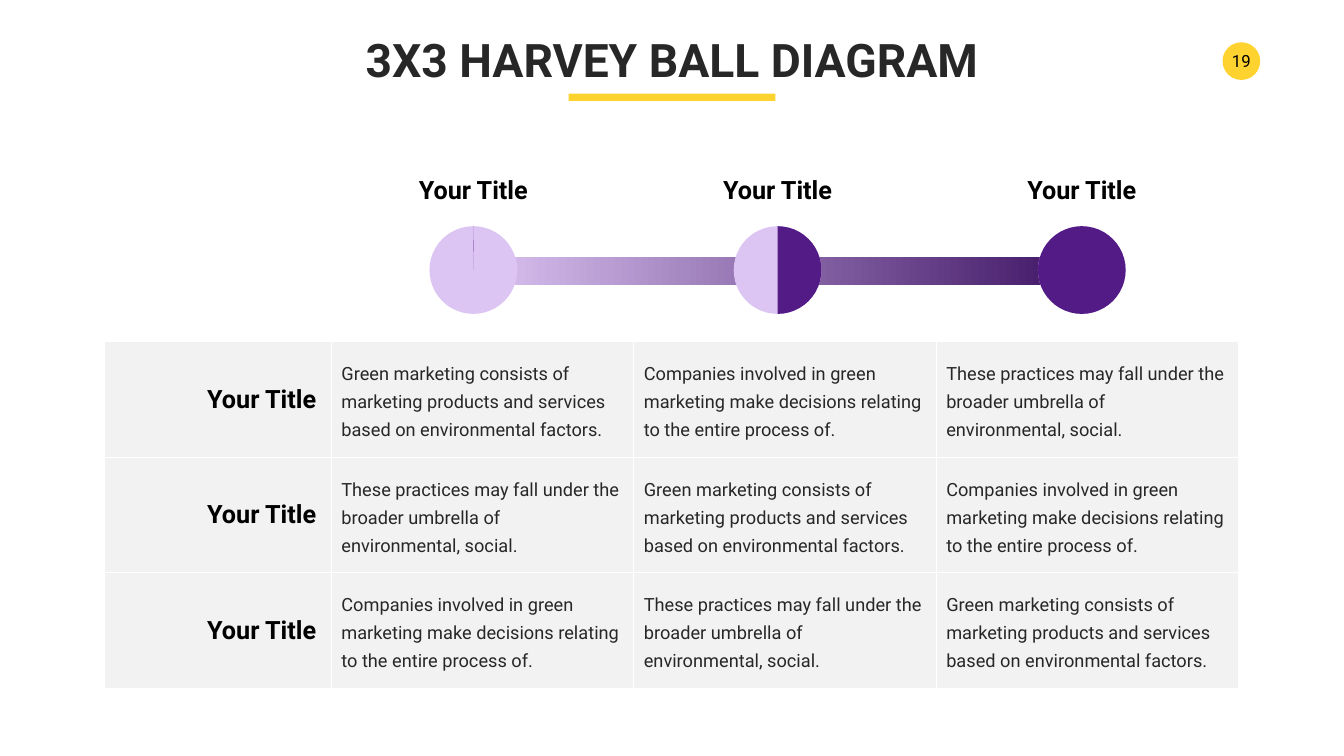
from lxml import etree
from pptx import Presentation
from pptx.dml.color import RGBColor
from pptx.enum.shapes import MSO_SHAPE
from pptx.enum.text import MSO_ANCHOR, PP_ALIGN
from pptx.oxml.ns import qn
from pptx.util import Cm, Pt

ELLIPSE, PIE, RECTANGLE = MSO_SHAPE.OVAL, MSO_SHAPE.PIE, MSO_SHAPE.RECTANGLE
LEFT, CENTER, RIGHT = PP_ALIGN.LEFT, PP_ALIGN.CENTER, PP_ALIGN.RIGHT
TOP, MIDDLE = MSO_ANCHOR.TOP, MSO_ANCHOR.MIDDLE

FONT = "Roboto"
YELLOW, PURPLE, LILAC, DEEP_PURPLE = "FED330", "531B86", "DDC5F3", "3E1464"
DARK, BLACK, WHITE, GRAY = "272727", "000000", "FFFFFF", "F2F2F2"

TITLE = "3X3 HARVEY BALL DIAGRAM"
PAGE_NUMBER = "19"
GREEN = "Green marketing consists of marketing products and services based on environmental factors."
COMPANIES = "Companies involved in green marketing make decisions relating to the entire process of."
PRACTICES = "These practices may fall under the broader umbrella of environmental, social."
ROWS = [
    ("Your Title", GREEN, COMPANIES, PRACTICES),
    ("Your Title", PRACTICES, GREEN, COMPANIES),
    ("Your Title", COMPANIES, PRACTICES, GREEN),
]
BALLS = [
    ("Your Title", 161.88, 161.93),
    ("Your Title", 162, 54),
    ("Your Title", 161.5, 161.45),
]

SLIDE_WIDTH, SLIDE_HEIGHT = 67.72, 38.1
COLUMN_WIDTHS = (11.43, 15.24, 15.24, 15.24)
TABLE_LEFT, TABLE_TOP, ROW_HEIGHT = 5.26, 17.22, 5.82
FIRST_BALL, BALL_STEP, BALL_TOP, BALL_SIZE = 23.85, 15.33, 11.4, 4.42
LABEL_TOP, LABEL_WIDTH, LABEL_HEIGHT = 8.66, 6.1, 1.8
TITLE_TOP, TITLE_WIDTH, TITLE_HEIGHT = 1.45, 31.5, 3.07


def color(value):
    return RGBColor.from_string(value)


def write(frame, text, size, ink, bold=False, align=CENTER):
    frame.text = text
    paragraph = frame.paragraphs[0]
    paragraph.alignment = align
    font = paragraph.runs[0].font
    font.name, font.size, font.bold = FONT, Pt(size), bold
    font.color.rgb = color(ink)
    return paragraph


def add_shape(slide, kind, left, top, width, height, fill):
    shape = slide.shapes.add_shape(kind, Cm(left), Cm(top), Cm(width), Cm(height))
    shape.shadow.inherit = False
    shape.line.fill.background()
    shape.fill.solid()
    shape.fill.fore_color.rgb = color(fill)
    return shape


def add_heading(slide):
    title = slide.shapes.title
    title.left, title.top = Cm((SLIDE_WIDTH - TITLE_WIDTH) / 2), Cm(TITLE_TOP)
    title.width, title.height = Cm(TITLE_WIDTH), Cm(TITLE_HEIGHT)
    write(title.text_frame, TITLE, 66, DARK, True)
    title.text_frame.word_wrap = False
    title.text_frame.vertical_anchor = TOP
    add_shape(slide, RECTANGLE, (SLIDE_WIDTH - 10.41) / 2, 4.72, 10.41, 0.36, YELLOW)

    badge = add_shape(slide, ELLIPSE, 61.6, 2.13, 1.9, 1.9, YELLOW)
    frame = badge.text_frame
    frame.margin_left = frame.margin_right = Cm(0.13)
    frame.margin_top = frame.margin_bottom = Cm(0.13)
    frame.vertical_anchor = MIDDLE
    frame.word_wrap = False
    write(frame, PAGE_NUMBER, 24, BLACK)


def add_balls(slide):
    bar = add_shape(slide, RECTANGLE, 23.67, 12.95, 30.81, 1.4, LILAC)
    bar.fill.gradient()
    bar.fill.gradient_angle = 0
    for stop, shade in zip(bar.fill.gradient_stops, (LILAC, DEEP_PURPLE)):
        stop.color.rgb = color(shade)
    for stop, position in zip(bar.fill.gradient_stops, (0, 1)):
        stop.position = position

    for index, (label, start, end) in enumerate(BALLS):
        center = FIRST_BALL + index * BALL_STEP
        place = (center - BALL_SIZE / 2, BALL_TOP, BALL_SIZE, BALL_SIZE)
        add_shape(slide, ELLIPSE, *place, LILAC)
        pie = add_shape(slide, PIE, *place, PURPLE)
        pie.adjustments[0], pie.adjustments[1] = start, end
        box = slide.shapes.add_textbox(
            Cm(center - LABEL_WIDTH / 2), Cm(LABEL_TOP), Cm(LABEL_WIDTH), Cm(LABEL_HEIGHT))
        box.text_frame.word_wrap = False
        write(box.text_frame, label, 36, BLACK, True)


def add_borders(cell):
    properties = cell._tc.get_or_add_tcPr()
    for side in ("a:lnL", "a:lnR", "a:lnT", "a:lnB"):
        line = etree.SubElement(properties, qn(side), w=str(Pt(1)))
        fill = etree.SubElement(line, qn("a:solidFill"))
        etree.SubElement(fill, qn("a:srgbClr"), val=WHITE)


def add_grid(slide):
    table = slide.shapes.add_table(
        len(ROWS), len(COLUMN_WIDTHS), Cm(TABLE_LEFT), Cm(TABLE_TOP),
        Cm(sum(COLUMN_WIDTHS)), Cm(ROW_HEIGHT * len(ROWS))).table
    table.first_row = table.horz_banding = False
    for column, width in zip(table.columns, COLUMN_WIDTHS):
        column.width = Cm(width)
    for row_index, texts in enumerate(ROWS):
        table.rows[row_index].height = Cm(ROW_HEIGHT)
        for column_index, text in enumerate(texts):
            cell = table.cell(row_index, column_index)
            add_borders(cell)
            cell.fill.solid()
            cell.fill.fore_color.rgb = color(GRAY)
            cell.vertical_anchor = MIDDLE
            is_header = column_index == 0
            cell.margin_left = cell.margin_right = Cm(0.76 if is_header else 0.51)
            cell.margin_top = cell.margin_bottom = Cm(0.38 if is_header else 0.25)
            if is_header:
                write(cell.text_frame, text, 36, BLACK, True, RIGHT)
            else:
                paragraph = write(cell.text_frame, text, 26, DARK, align=LEFT)
                paragraph.line_spacing = Pt(40)


def main():
    presentation = Presentation()
    presentation.slide_width, presentation.slide_height = Cm(SLIDE_WIDTH), Cm(SLIDE_HEIGHT)
    slide = presentation.slides.add_slide(presentation.slide_layouts[5])
    add_heading(slide)
    add_grid(slide)
    add_balls(slide)
    presentation.save("out.pptx")


if __name__ == "__main__":
    main()
